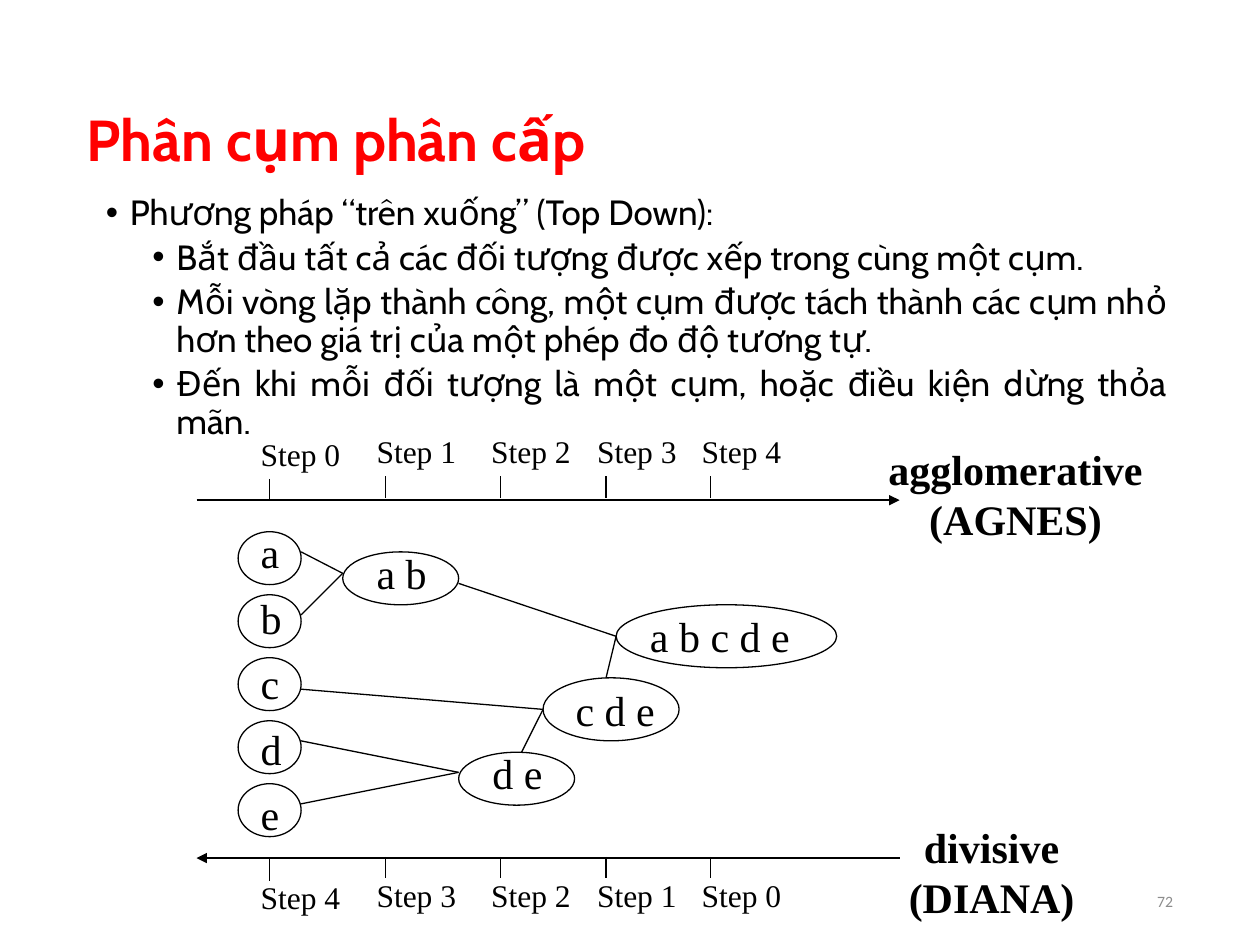
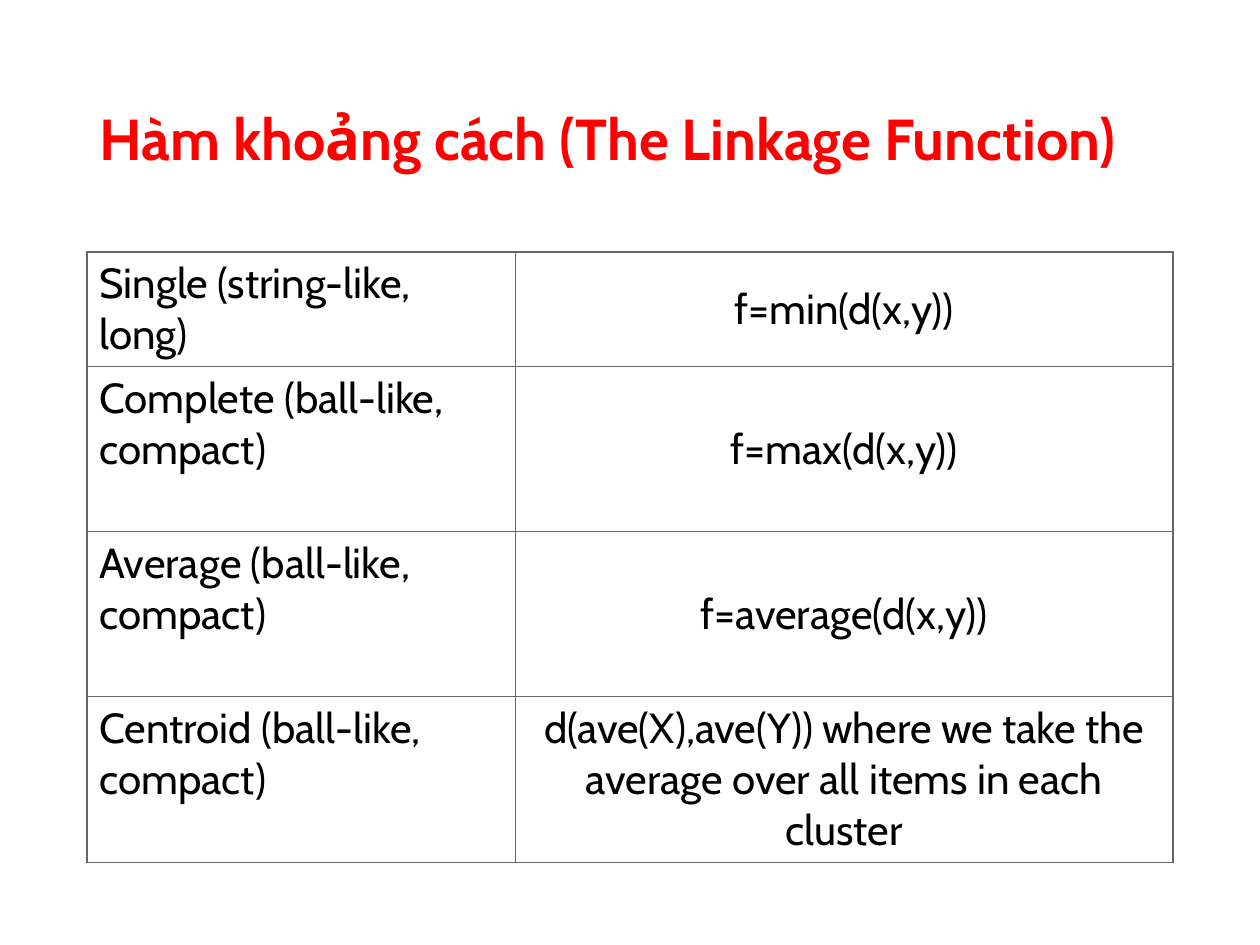
from dataclasses import dataclass

from lxml import etree
from pptx import Presentation
from pptx.dml.color import RGBColor
from pptx.enum.shapes import MSO_CONNECTOR, MSO_SHAPE
from pptx.enum.text import MSO_ANCHOR, MSO_AUTO_SIZE, PP_ALIGN
from pptx.oxml.ns import qn
from pptx.util import Inches, Pt

LEFT, CENTER = PP_ALIGN.LEFT, PP_ALIGN.CENTER
RIGHT, JUSTIFY = PP_ALIGN.RIGHT, PP_ALIGN.JUSTIFY
TOP, MIDDLE = MSO_ANCHOR.TOP, MSO_ANCHOR.MIDDLE
NO_FIT, GROW = MSO_AUTO_SIZE.NONE, MSO_AUTO_SIZE.SHAPE_TO_FIT_TEXT
STRAIGHT, OVAL = MSO_CONNECTOR.STRAIGHT, MSO_SHAPE.OVAL
TITLE_AND_CONTENT, TITLE_ONLY = 1, 5


@dataclass(frozen=True)
class Theme:
    main: str = "Cabin"
    diagram: str = "Times New Roman"
    footer: str = "Calibri"
    title_color: RGBColor = RGBColor(0xFF, 0x00, 0x00)
    ink: RGBColor = RGBColor(0x00, 0x00, 0x00)
    muted: RGBColor = RGBColor(0x8C, 0x8C, 0x8C)
    border: str = "666666"
    title_size: int = 33
    body_size: int = 20
    large_size: int = 24
    step_size: int = 18
    number_size: int = 9
    thin: float = 0.75
    thick: float = 1.5
    line_spacing: float = 0.9


THEME = Theme()
TITLE_BOX = (0.69, 0.4, 8.62, 1.45)
BODY_BOX = (0.74, 1.5, 8.62, 4.76)
NUMBER_BOX = (7.06, 6.95, 2.25, 0.4)
DIAGRAM_ORIGIN = (1.56, 3.38)
TABLE_BOX = (0.69, 2, 8.62, 4.84)
FIRST_NUMBER = 72

BULLETS = [
    (0, "Phương pháp “trên xuống” (Top Down):"),
    (1, "Bắt đầu tất cả các đối tượng được xếp trong cùng một cụm."),
    (1, "Mỗi vòng lặp thành công, một cụm được tách thành các cụm nhỏ hơn "
        "theo giá trị của một phép đo độ tương tự."),
    (1, "Đến khi mỗi đối tượng là một cụm, hoặc điều kiện dừng thỏa mãn."),
]
LEVEL_INDENT = (0.19, 0.56)
LEVEL_SPACE = (7.5, 3.8)

# Diagram lengths are relative to DIAGRAM_ORIGIN.
AXIS_LENGTH = 5.58
STEP_X = (0.58, 1.5, 2.41, 3.25, 4.08)
# label, ellipse box, label box
MERGED_CLUSTERS = [
    ("a b", (1.16, 1.0, 0.92, 0.42), (1.33, 0.92, 0.6, 0.5)),
    ("d e", (2.08, 2.59, 0.92, 0.42), (2.25, 2.5, 0.6, 0.5)),
    ("c d e", (2.75, 2.0, 1.08, 0.5), (2.91, 2.0, 0.83, 0.5)),
    ("a b c d e", (3.33, 1.42, 1.75, 0.5), (3.5, 1.42, 1.31, 0.5)),
]
CLUSTER_LINKS = [
    (0.83, 1.0, 1.16, 1.17), (0.83, 1.5, 1.16, 1.17),
    (0.83, 2.5, 2.08, 2.75), (0.83, 3.0, 2.08, 2.75),
    (0.83, 2.09, 2.75, 2.25), (2.58, 2.59, 2.75, 2.25),
    (2.08, 1.25, 3.33, 1.67), (3.25, 2.0, 3.33, 1.67),
]

LINKAGES = [
    ("Single (string-like, long)", "f=min(d(x,y))"),
    ("Complete (ball-like, compact)", "f=max(d(x,y))"),
    ("Average (ball-like, compact)", "f=average(d(x,y))"),
    ("Centroid (ball-like, compact)",
     "d(ave(X),ave(Y)) where we take the average over all items in each cluster"),
]
COLUMN_WIDTHS = (3.4, 5.22)
ROW_HEIGHTS = (0.9, 1.31, 1.31, 1.31)


def inches(values):
    return [Inches(v) for v in values]


def place(sp, box):
    sp.left, sp.top, sp.width, sp.height = inches(box)


def set_margins(tf, margins):
    tf.margin_left, tf.margin_top, tf.margin_right, tf.margin_bottom = inches(margins)


def style_text(tf, font, size, color=THEME.ink, bold=False, align=LEFT):
    for p in tf.paragraphs:
        p.alignment = align
        for r in p.runs:
            r.font.name, r.font.size, r.font.bold = font, Pt(size), bold
            r.font.color.rgb = color


def add_title(slide, text, margins=(0.1, 0.05, 0.1, 0.05)):
    sp = slide.shapes.title
    place(sp, TITLE_BOX)
    tf = sp.text_frame
    tf.text = text
    tf.auto_size, tf.vertical_anchor = NO_FIT, MIDDLE
    set_margins(tf, margins)
    tf.paragraphs[0].line_spacing = THEME.line_spacing
    style_text(tf, THEME.main, THEME.title_size, THEME.title_color, bold=True)


def add_bullets(sp, box, items):
    place(sp, box)
    tf = sp.text_frame
    tf.auto_size, tf.vertical_anchor = NO_FIT, TOP
    tf.text = "\n".join(text for _, text in items)
    for i, (p, (level, _)) in enumerate(zip(tf.paragraphs, items)):
        p.level = level
        p.line_spacing = THEME.line_spacing
        p.space_before = Pt(LEVEL_SPACE[level] if i else 0)
        pPr = p._p.get_or_add_pPr()
        pPr.set("marL", str(Inches(LEVEL_INDENT[level])))
        pPr.set("indent", str(-Inches(LEVEL_INDENT[0])))
        etree.SubElement(pPr, qn("a:buFont"), typeface="Arial")
        etree.SubElement(pPr, qn("a:buChar"), char="•")
    style_text(tf, THEME.main, THEME.body_size, align=JUSTIFY)


def add_slide_number(slide, box, number):
    tf = slide.shapes.add_textbox(*inches(box)).text_frame
    tf.text = str(number)
    tf.word_wrap, tf.vertical_anchor = True, MIDDLE
    set_margins(tf, (0, 0, 0, 0))
    style_text(tf, THEME.footer, THEME.number_size, THEME.muted, align=RIGHT)
    r = tf.paragraphs[0].runs[0]._r
    r.tag = qn("a:fld")
    r.set("id", "{B6F15528-21DE-4FAA-801E-634DDDAF4B2B}")
    r.set("type", "slidenum")


class ClusterDiagram:
    """A group whose parts are placed in inches from its origin."""

    def __init__(self, slide, origin):
        self.shapes = slide.shapes.add_group_shape().shapes
        self.x, self.y = origin

    def box(self, x, y, w, h):
        return inches((self.x + x, self.y + y, w, h))

    def line(self, x1, y1, x2, y2, width=THEME.thin, arrow=None):
        start, end = self.box(x1, y1, 0, 0)[:2], self.box(x2, y2, 0, 0)[:2]
        cxn = self.shapes.add_connector(STRAIGHT, *start, *end)
        cxn.line.color.rgb, cxn.line.width = THEME.ink, Pt(width)
        if arrow:
            etree.SubElement(cxn.line._get_or_add_ln(), qn(arrow), type="triangle")
        etree.SubElement(cxn._element.spPr, qn("a:effectLst"))

    def label(self, text, box, size=THEME.large_size, wrap=False, **style):
        tf = self.shapes.add_textbox(*self.box(*box)).text_frame
        tf.text = text
        tf.word_wrap, tf.auto_size = wrap, GROW
        style_text(tf, THEME.diagram, size, **style)

    def cluster(self, text, ellipse_box, label_box):
        sp = self.shapes.add_shape(OVAL, *self.box(*ellipse_box))
        sp.shadow.inherit = False
        sp.fill.background()
        sp.line.color.rgb, sp.line.width = THEME.ink, Pt(THEME.thin)
        self.label(text, label_box)

    def axis(self, y, tick_y, label_y, steps, arrow):
        self.line(0, y, AXIS_LENGTH, y, THEME.thick, arrow)
        for i, (x, step) in enumerate(zip(STEP_X, steps)):
            drop = 0 if i else 0.02
            self.line(x, tick_y + drop, x, tick_y + drop + 0.17)
            self.label(f"Step {step}", (x - 0.17, label_y + drop, 0.83, 0.4),
                       THEME.step_size, wrap=True)


def add_cluster_diagram(slide, origin):
    diagram = ClusterDiagram(slide, origin)
    diagram.axis(0.59, 0.4, 0, range(5), "a:tailEnd")
    diagram.axis(3.43, 3.42, 3.52, reversed(range(5)), "a:headEnd")
    for i, item in enumerate("abcde"):
        diagram.cluster(item, (0.33, 0.84 + 0.5 * i, 0.5, 0.42),
                        (0.41, 0.75 + 0.52 * i, 0.36, 0.5))
    for cluster in MERGED_CLUSTERS:
        diagram.cluster(*cluster)
    for link in CLUSTER_LINKS:
        diagram.line(*link)
    diagram.label("agglomerative\n(AGNES)", (5.39, 0.09, 2.22, 0.9), bold=True, align=CENTER)
    diagram.label("divisive\n(DIANA)", (5.55, 3.09, 1.52, 0.9), bold=True, align=CENTER)


def set_borders(cell):
    tcPr = cell._tc.get_or_add_tcPr()
    for i, side in enumerate(("a:lnL", "a:lnR", "a:lnT", "a:lnB")):
        ln = etree.Element(qn(side), w=str(Pt(THEME.thin)))
        fill = etree.SubElement(ln, qn("a:solidFill"))
        etree.SubElement(fill, qn("a:srgbClr"), val=THEME.border)
        tcPr.insert(i, ln)


def add_linkage_table(slide, box, rows):
    table = slide.shapes.add_table(len(rows), len(COLUMN_WIDTHS), *inches(box)).table
    table.first_row = table.horz_banding = False
    for column, width in zip(table.columns, COLUMN_WIDTHS):
        column.width = Inches(width)
    for row, height, texts in zip(table.rows, ROW_HEIGHTS, rows):
        row.height = Inches(height)
        for cell, text, align, anchor in zip(row.cells, texts, (LEFT, CENTER), (TOP, MIDDLE)):
            cell.text = text
            cell.vertical_anchor = anchor
            cell.fill.background()
            set_borders(cell)
            style_text(cell.text_frame, THEME.main, THEME.large_size, align=align)


def build_hierarchy_slide(prs):
    slide = prs.slides.add_slide(prs.slide_layouts[TITLE_AND_CONTENT])
    add_title(slide, "Phân cụm phân cấp", margins=(0, 0.01, 0, 0))
    add_bullets(slide.placeholders[1], BODY_BOX, BULLETS)
    add_slide_number(slide, NUMBER_BOX, FIRST_NUMBER)
    add_cluster_diagram(slide, DIAGRAM_ORIGIN)


def build_linkage_slide(prs):
    slide = prs.slides.add_slide(prs.slide_layouts[TITLE_ONLY])
    add_title(slide, "Hàm khoảng cách (The Linkage Function)")
    add_linkage_table(slide, TABLE_BOX, LINKAGES)


def main():
    prs = Presentation()
    prs.slide_width, prs.slide_height = Inches(10), Inches(7.5)
    prs.element.set("firstSlideNum", str(FIRST_NUMBER))
    build_hierarchy_slide(prs)
    build_linkage_slide(prs)
    prs.save("out.pptx")


if __name__ == "__main__":
    main()
